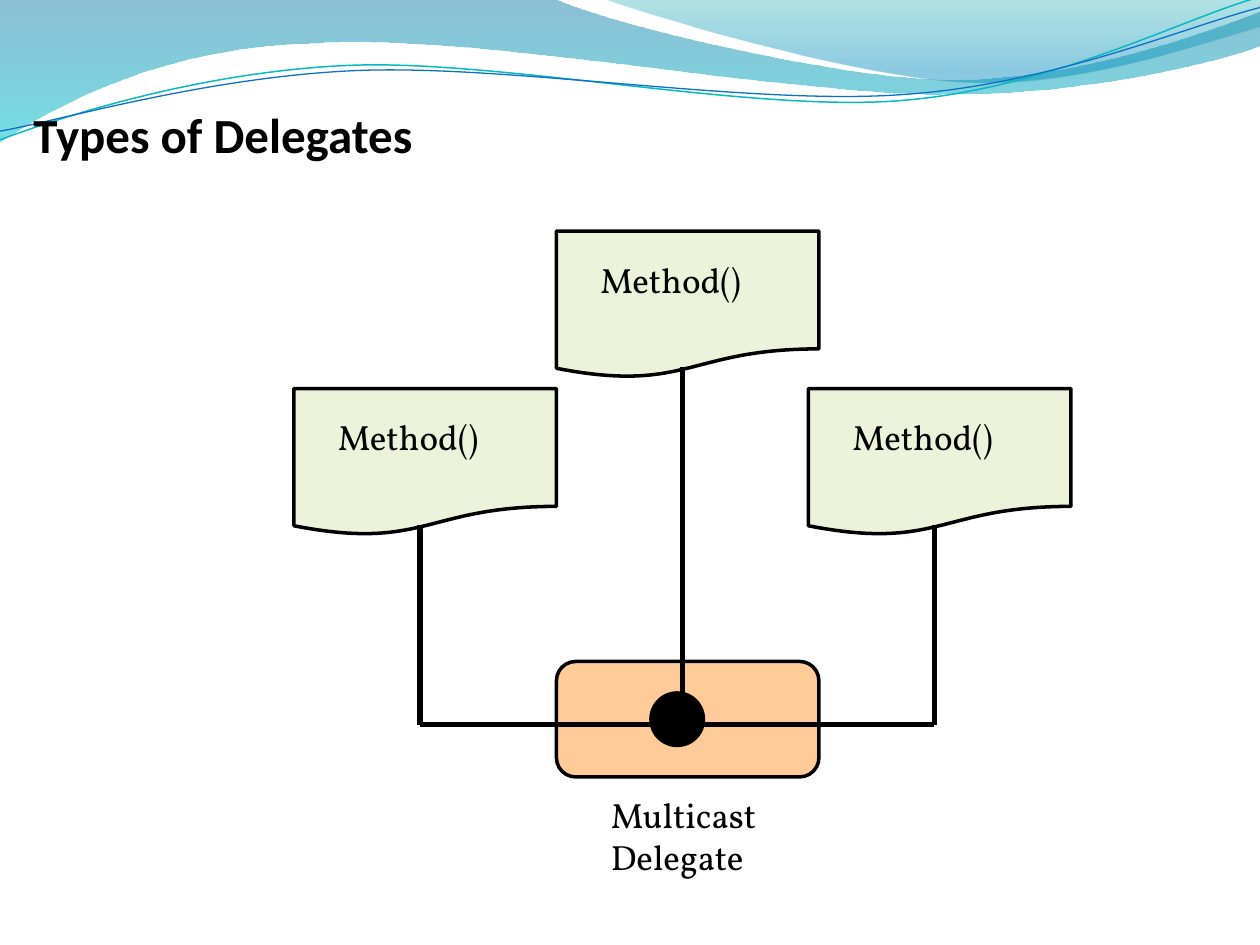
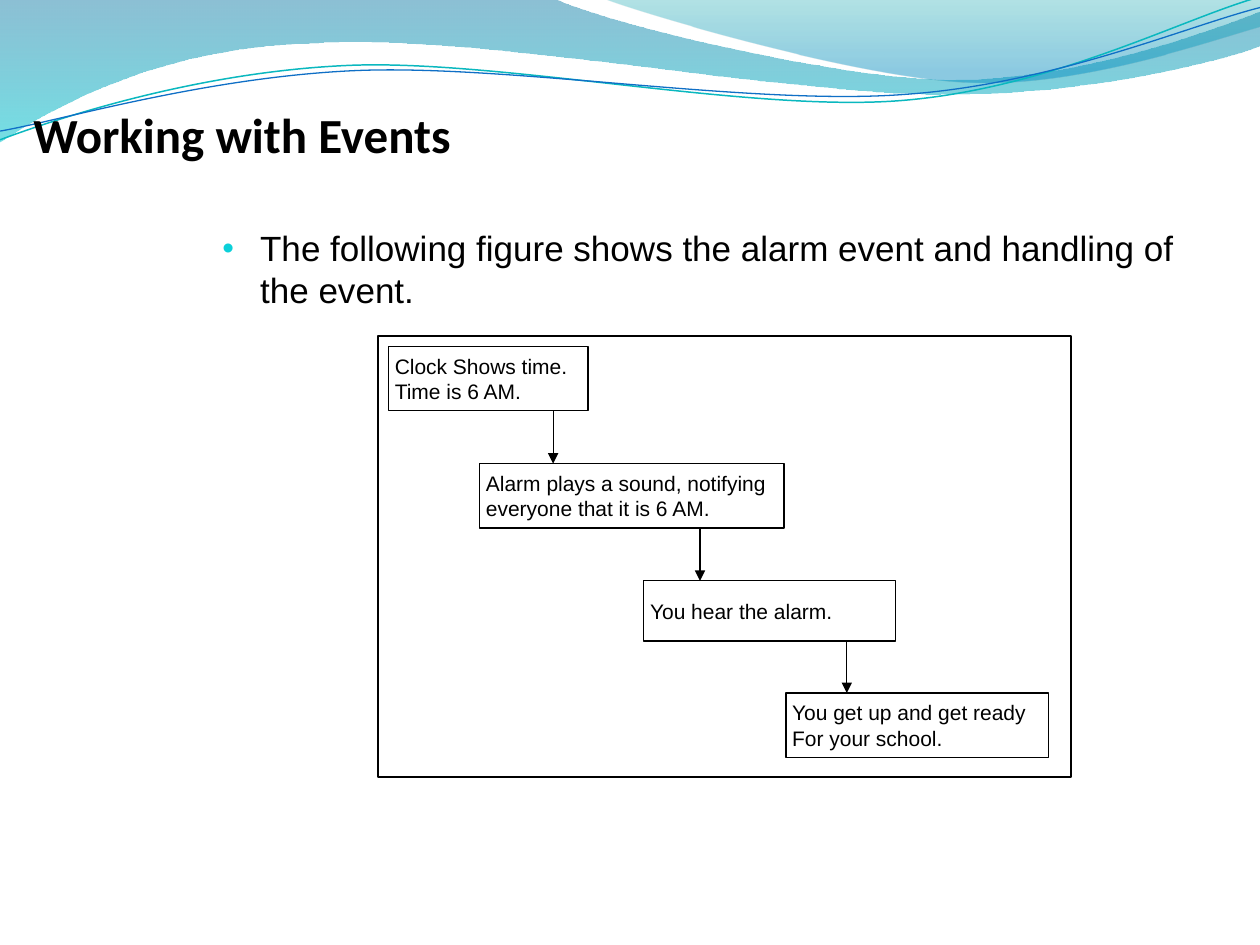
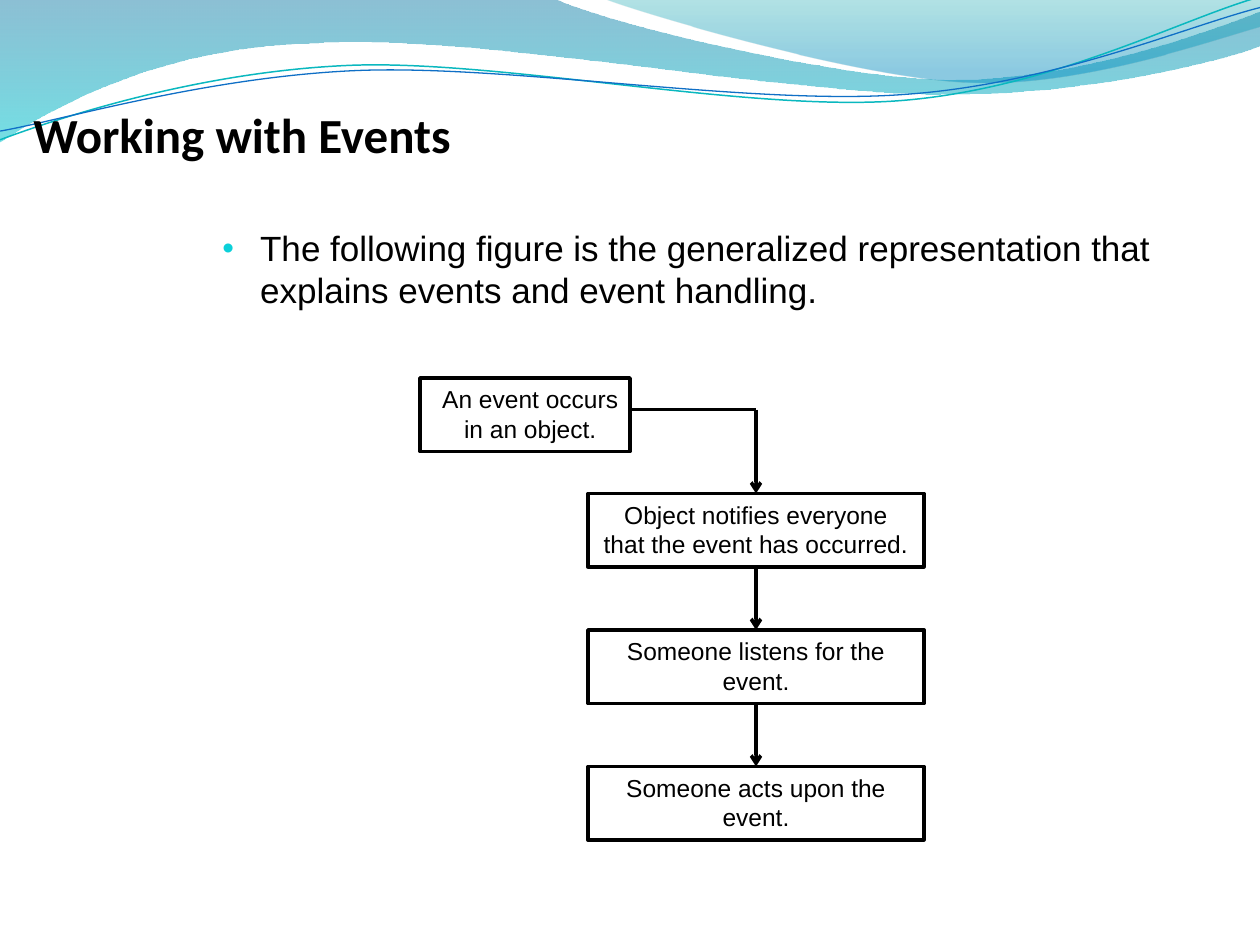
from dataclasses import dataclass
from itertools import pairwise
from typing import Optional

from lxml.etree import SubElement
from pptx import Presentation
from pptx.dml.color import RGBColor
from pptx.enum.shapes import MSO_CONNECTOR, MSO_SHAPE
from pptx.enum.text import MSO_ANCHOR, PP_ALIGN
from pptx.oxml.ns import qn
from pptx.shapes.autoshape import Shape
from pptx.slide import Slide
from pptx.util import Pt

BLACK = RGBColor(0x00, 0x00, 0x00)
WHITE = RGBColor(0xFF, 0xFF, 0xFF)
PEACH = RGBColor(0xFF, 0xCC, 0x99)
PALE_GREEN = RGBColor(0xED, 0xF3, 0xDB)
BULLET_CYAN = RGBColor(0x0B, 0xD0, 0xD9)
TEAL_LINE = RGBColor(0x0A, 0xB8, 0xBF)
BLUE_LINE = RGBColor(0x0F, 0x6F, 0xC6)

TITLE_FONT, BODY_FONT, DIAGRAM_FONT = "Calibri", "Arial", "Vollkorn"

Point = tuple[float, float]


@dataclass(frozen=True)
class Box:
    """A rectangle in points."""
    left: float
    top: float
    width: float
    height: float

    @property
    def bottom(self) -> float:
        return self.top + self.height


@dataclass(frozen=True)
class Stop:
    """A gradient stop; position and opacity run from 0 to 1."""
    position: float
    color: RGBColor
    opacity: float


@dataclass(frozen=True)
class Wave:
    """A header outline: each segment is one line end or three curve points."""
    start: Point
    segments: tuple[tuple[Point, ...], ...]
    stops: tuple[Stop, ...] = ()
    line: Optional[RGBColor] = None
    weight: float = 0


@dataclass(frozen=True)
class Step:
    """A box in a flow and the lines of text in it."""
    box: Box
    lines: tuple[str, ...]


WAVES = (
    Wave((0, 0), (
        ((316.8, -0.7),),
        ((342.7, 12.2), (478.1, 45.4), (545.8, 45.4)),
        ((614.2, 45.4), (689.8, 18.7), (720, 6.5)),
        ((720.7, 25.9),),
        ((707.8, 31.7), (626.4, 54.7), (537.1, 54)),
        ((447.8, 54), (275, 20.2), (185, 24.5)),
        ((92.9, 25.9), (33.1, 59.8), (-0.7, 81.4))),
        stops=(Stop(0, RGBColor(0x00, 0x74, 0xA1), 0.45),
               Stop(1, RGBColor(0x00, 0xC6, 0xCF), 0.55))),
    Wave((344.9, -0.7), (
        ((366.5, 7.9), (491, 44.6), (553.7, 46.8)),
        ((616.3, 49.7), (691.9, 23), (720, 15.1)),
        ((720, 0),)),
        stops=(Stop(0, RGBColor(0x00, 0xA1, 0xA9), 0.30),
               Stop(0.8, RGBColor(0x00, 0x8B, 0xBF), 0.45))),
    Wave((0, 79.9), (
        ((34.6, 67), (113.8, 41), (199.4, 37.4)),
        ((284.4, 33.8), (427, 64.1), (513.4, 57.6)),
        ((599.8, 51.1), (675.4, 10.8), (718.6, -1.4))),
        line=TEAL_LINE, weight=0.85),
    Wave((0, 74.9), (
        ((33.8, 69.1), (118.1, 43.9), (203.8, 40.3)),
        ((290.2, 36.7), (429.8, 60.5), (516.2, 54)),
        ((601.9, 48.2), (677.5, 15.1), (720, 4.3))),
        line=BLUE_LINE, weight=0.75),
)


def bend_curves(shape: Shape, segments: tuple[tuple[Point, ...], ...]) -> None:
    """Turn the three lines that stand for each curve into one Bezier curve."""
    lines = list(shape.element.iter(qn("a:lnTo")))
    for segment in segments:
        first, *others = lines[:len(segment)]
        del lines[:len(segment)]
        if others:
            first.tag = qn("a:cubicBezTo")
            for line in others:
                first.append(line[0])
                line.getparent().remove(line)


def add_wave(page: Slide, wave: Wave) -> None:
    """Draw one outline of the header."""
    builder = page.shapes.build_freeform(*(Pt(value) for value in wave.start))
    builder.add_line_segments(
        [(Pt(x), Pt(y)) for segment in wave.segments for x, y in segment],
        close=bool(wave.stops))
    shape = builder.convert_to_shape()
    bend_curves(shape, wave.segments)
    shape.shadow.inherit = False
    if wave.line is None:
        shape.line.fill.background()
    else:
        shape.line.color.rgb = wave.line
        shape.line.width = Pt(wave.weight)
    if not wave.stops:
        shape.fill.background()
        return
    shape.fill.gradient()
    shape.fill.gradient_angle = 270
    for target, stop in zip(shape.fill.gradient_stops, wave.stops):
        target.position = stop.position
        target.color.rgb = stop.color
    colors = shape.element.spPr.iter(qn("a:srgbClr"))
    for color, stop in zip(colors, wave.stops):
        SubElement(color, qn("a:alpha"), val=str(round(stop.opacity * 100000)))


def add_shape(page: Slide, kind: MSO_SHAPE, box: Box, fill: Optional[RGBColor],
              weight: float) -> Shape:
    """Add a preset shape; a weight of 0 leaves out its black outline."""
    shape = page.shapes.add_shape(
        kind, Pt(box.left), Pt(box.top), Pt(box.width), Pt(box.height))
    shape.shadow.inherit = False
    if fill is None:
        shape.fill.background()
    else:
        shape.fill.solid()
        shape.fill.fore_color.rgb = fill
    if weight:
        shape.line.color.rgb = BLACK
        shape.line.width = Pt(weight)
    else:
        shape.line.fill.background()
    return shape


def set_text(shape: Shape, lines: tuple[str, ...], font: str, size: float,
             align: PP_ALIGN = PP_ALIGN.LEFT, bold: bool = False,
             anchor: MSO_ANCHOR = MSO_ANCHOR.TOP, gap: float = 0) -> None:
    """Write black paragraphs into a shape."""
    frame = shape.text_frame
    frame.word_wrap = True
    frame.vertical_anchor = anchor
    for index, line in enumerate(lines):
        para = frame.paragraphs[0] if index == 0 else frame.add_paragraph()
        para.text = line
        para.alignment = align
        para.space_before = Pt(gap)
        para.font.name = font
        para.font.size = Pt(size)
        para.font.bold = bold
        para.font.color.rgb = BLACK


def add_label(page: Slide, box: Box, text: str, font: str, size: float,
              align: PP_ALIGN = PP_ALIGN.LEFT, bold: bool = False) -> None:
    """Add a text box with one paragraph."""
    label = page.shapes.add_textbox(
        Pt(box.left), Pt(box.top), Pt(box.width), Pt(box.height))
    set_text(label, (text,), font, size, align, bold)


def add_line(page: Slide, start: Point, end: Point, weight: float,
             head: Optional[str] = None) -> None:
    """Draw a black line, with an arrowhead at its end if one is named."""
    line = page.shapes.add_connector(
        MSO_CONNECTOR.STRAIGHT, *(Pt(value) for value in (*start, *end)))
    line.line.color.rgb = BLACK
    line.line.width = Pt(weight)
    properties = line.element.spPr
    if head:
        SubElement(properties.find(qn("a:ln")), qn("a:tailEnd"), type=head)
    SubElement(properties, qn("a:effectLst"))


def add_page(deck: Presentation, title: str) -> Slide:
    """Add a blank slide with the wave header and a title."""
    page = deck.slides.add_slide(deck.slide_layouts[6])
    for wave in WAVES:
        add_wave(page, wave)
    add_label(page, Box(12, 56.2, 582, 41), title, TITLE_FONT, 28, bold=True)
    return page


def add_bullet(page: Slide, text: str) -> None:
    """Add the body panel with one bulleted paragraph."""
    panel = add_shape(page, MSO_SHAPE.RECTANGLE, Box(120, 126, 576, 360), WHITE, 0)
    set_text(panel, (text,), BODY_FONT, 20)
    properties = panel.text_frame.paragraphs[0]._p.get_or_add_pPr()
    properties.set("marL", str(Pt(21.6)))
    properties.set("indent", str(-Pt(21.6)))
    color = SubElement(properties, qn("a:buClr"))
    SubElement(color, qn("a:srgbClr"), val=str(BULLET_CYAN))
    SubElement(properties, qn("a:buSzPct"), val="95000")
    SubElement(properties, qn("a:buFont"), typeface=BODY_FONT)
    SubElement(properties, qn("a:buChar"), char="•")


def build_delegates(deck: Presentation) -> None:
    """Three methods wired to one multicast delegate."""
    page = add_page(deck, "Types of Delegates")
    add_label(page, Box(342, 450, 108, 55.4), "Multicast Delegate", DIAGRAM_FONT, 20)
    add_shape(page, MSO_SHAPE.ROUNDED_RECTANGLE, Box(318, 378, 150, 66), PEACH, 2)
    add_shape(page, MSO_SHAPE.OVAL, Box(372, 396, 30, 30), BLACK, 2)

    wire_y = 414
    # Left and top of each method, bottom of its stem, hub end of its wire.
    methods = ((462, 222, wire_y, 396), (168, 222, wire_y, 378), (318, 132, 396, None))
    for left, top, stem_end, hub_x in methods:
        stem_x = left + 72
        add_shape(page, MSO_SHAPE.FLOWCHART_DOCUMENT, Box(left, top, 150, 84),
                  PALE_GREEN, 2)
        if hub_x is not None:
            add_line(page, (min(stem_x, hub_x), wire_y),
                     (max(stem_x, hub_x), wire_y), 3)
        add_line(page, (stem_x, top + 78), (stem_x, stem_end), 3)
        add_label(page, Box(left + 18, top + 12, 114, 31.5), "Method()",
                  DIAGRAM_FONT, 20)


def build_alarm(deck: Presentation) -> None:
    """The alarm event as a staircase of steps."""
    page = add_page(deck, "Working with Events")
    add_bullet(page, "The following figure shows the alarm event and handling of "
                     "the event.")
    steps = (
        Step(Box(222, 198, 114, 36.8), ("Clock Shows time.", "Time is 6 AM.")),
        Step(Box(274.1, 264.9, 174, 36.8),
             ("Alarm plays a sound, notifying", "everyone that it is 6 AM.")),
        Step(Box(367.9, 331.9, 144, 34.4), ("You hear the alarm.",)),
        Step(Box(449.1, 396, 150, 36.8),
             ("You get up and get ready", "For your school.")),
    )
    for step in steps:
        shape = add_shape(page, MSO_SHAPE.RECTANGLE, step.box, None, 0.75)
        frame = shape.text_frame
        frame.margin_left = frame.margin_right = Pt(3.6)
        frame.margin_top = frame.margin_bottom = Pt(3.6)
        set_text(shape, step.lines, BODY_FONT, 12, anchor=MSO_ANCHOR.MIDDLE, gap=0.24)
    for index, (upper, lower) in enumerate(pairwise(steps)):
        arrow_x = 316.1 + 83.9 * index
        add_line(page, (arrow_x, upper.box.bottom), (arrow_x, lower.box.top),
                 0.75, "triangle")
    add_shape(page, MSO_SHAPE.RECTANGLE, Box(216, 192, 396, 252), None, 0.75)


def build_event_flow(deck: Presentation) -> None:
    """The general flow from an event to its handling."""
    page = add_page(deck, "Working with Events")
    add_bullet(page, "The following figure is the generalized representation that "
                     "explains events and event handling.")
    source = Step(Box(240, 216, 120, 42), ("An event occurs in an object.",))
    texts = ("Object notifies everyone that the event has occurred.",
             "Someone listens for the event.",
             "Someone acts upon the event.")
    chain = [Step(Box(336, 282 + 78 * index, 192, 42), (text,))
             for index, text in enumerate(texts)]
    for step in (source, *chain):
        box = step.box
        text_width = box.width + (6 if step is source else 0)
        add_shape(page, MSO_SHAPE.RECTANGLE, box, WHITE, 2)
        add_label(page, Box(box.left, box.top, text_width, 41), step.lines[0],
                  BODY_FONT, 14, PP_ALIGN.CENTER)

    arrow_x, elbow_y = 432, 234
    add_line(page, (360, elbow_y), (arrow_x, elbow_y), 2)
    add_line(page, (arrow_x, elbow_y), (arrow_x, chain[0].box.top), 2, "arrow")
    for upper, lower in pairwise(chain):
        add_line(page, (arrow_x, upper.box.bottom), (arrow_x, lower.box.top),
                 2, "arrow")


def main() -> None:
    """Build the three slides and save them."""
    deck = Presentation()
    deck.slide_width, deck.slide_height = Pt(720), Pt(540)
    build_delegates(deck)
    build_alarm(deck)
    build_event_flow(deck)
    deck.save("out.pptx")


main()
